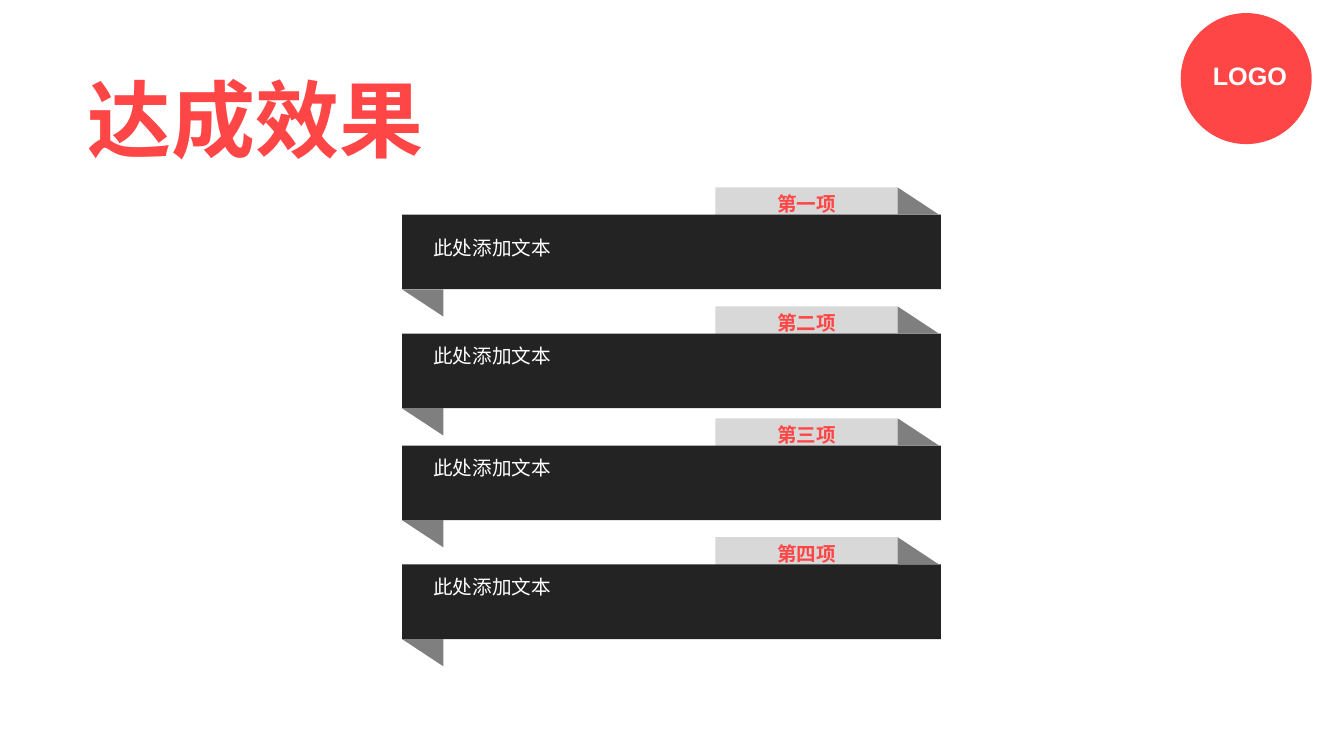
from lxml.etree import SubElement
from pptx import Presentation
from pptx.dml.color import RGBColor
from pptx.enum.shapes import MSO_SHAPE
from pptx.enum.text import MSO_ANCHOR, MSO_AUTO_SIZE, PP_ALIGN
from pptx.oxml.ns import qn
from pptx.util import Inches, Pt

CELL = Inches(0.1)
CHINESE_FONT = "Noto Sans CJK SC"
RED, WHITE, BLACK = "FF4646", "FFFFFF", "232323"
LIGHT_GREY, DARK_GREY = "D8D8D8", "7F7F7F"
MIDDLE, CENTER, LEFT = MSO_ANCHOR.MIDDLE, PP_ALIGN.CENTER, PP_ALIGN.LEFT

LABELS = ["第一项", "第二项", "第三项", "第四项"]
BODY_TEXT = "此处添加文本"
TITLE_STYLE = {"name": CHINESE_FONT, "size": Pt(60), "bold": True}
LABEL_STYLE = {"name": CHINESE_FONT, "size": Pt(14), "bold": True}
BODY_STYLE = {"name": CHINESE_FONT, "size": Pt(14), "bold": False}
LOGO_STYLE = {"name": "Arial", "size": Pt(18), "bold": True}
BODY_FRAME = {
    "margin_left": 0,
    "margin_right": 0,
    "margin_top": 0,
    "margin_bottom": Inches(0.08),
    "vertical_anchor": MIDDLE,
}


def color(value):
    return RGBColor.from_string(value)


def grid(*cells):
    return [round(cell * CELL) for cell in cells]


def set_values(target, values):
    for name, value in values.items():
        setattr(target, name, value)


def write(box, text, style, text_color, align, frame_values=None):
    frame = box.text_frame
    set_values(frame, {
        "word_wrap": True,
        "auto_size": MSO_AUTO_SIZE.SHAPE_TO_FIT_TEXT,
        "vertical_anchor": MSO_ANCHOR.TOP,
        **(frame_values or {}),
    })
    para = frame.paragraphs[0]
    para.alignment = align
    span = para.add_run()
    span.text = text
    set_values(span.font, style)
    span.font.color.rgb = color(text_color)
    east_asian = SubElement(span.font._element, qn("a:ea"))
    east_asian.set("typeface", style["name"])


def add_block(shapes, kind, place, fill):
    block = shapes.add_shape(kind, *grid(*place))
    block.shadow.inherit = False
    block.fill.solid()
    block.fill.fore_color.rgb = color(fill)
    block.line.fill.background()
    return block


def add_text(shapes, place, *content):
    write(shapes.add_textbox(*grid(*place)), *content)


def add_fold(shapes, column, row, rotation):
    place = (column, row, 4.1, 2.7)
    fold = add_block(shapes, MSO_SHAPE.ISOSCELES_TRIANGLE, place, DARK_GREY)
    fold.adjustments[0] = 0
    fold.rotation = rotation


def add_ribbon(page, label, row, text_offset):
    shapes = page.shapes.add_group_shape().shapes
    tab = add_block(shapes, MSO_SHAPE.RECTANGLE, (71, row - 2.7, 18.1, 3.4), LIGHT_GREY)
    write(tab, label, LABEL_STYLE, RED, CENTER)
    add_block(shapes, MSO_SHAPE.RECTANGLE, (39.9, row, 53.5, 7.4), BLACK)
    add_fold(shapes, 89.1, row - 2.7, 0)
    add_fold(shapes, 39.9, row + 7.4, 180)
    add_text(shapes, (43, row + text_offset, 49.4, 3.2),
             BODY_TEXT, BODY_STYLE, WHITE, LEFT, BODY_FRAME)


def add_logo(page):
    shapes = page.shapes.add_group_shape().shapes
    add_block(shapes, MSO_SHAPE.OVAL, (117.2, 1.3, 13, 13), RED)
    add_text(shapes, (119.4, 5.5, 10.2, 4), "LOGO", LOGO_STYLE, WHITE, LEFT)


def main():
    deck = Presentation()
    deck.slide_width, deck.slide_height = grid(133.4, 75)
    page = deck.slides.add_slide(deck.slide_layouts[6])
    add_text(page.shapes, (2.9, 6.2, 44.9, 11), "达成效果", TITLE_STYLE, RED, CENTER)
    for index, label in enumerate(LABELS):
        pair, second = divmod(index, 2)
        row = 21.3 + 22.9 * pair + 11.8 * second
        add_ribbon(page, label, row, 1 if index else 2.1)
    add_logo(page)
    deck.save("out.pptx")


if __name__ == "__main__":
    main()
